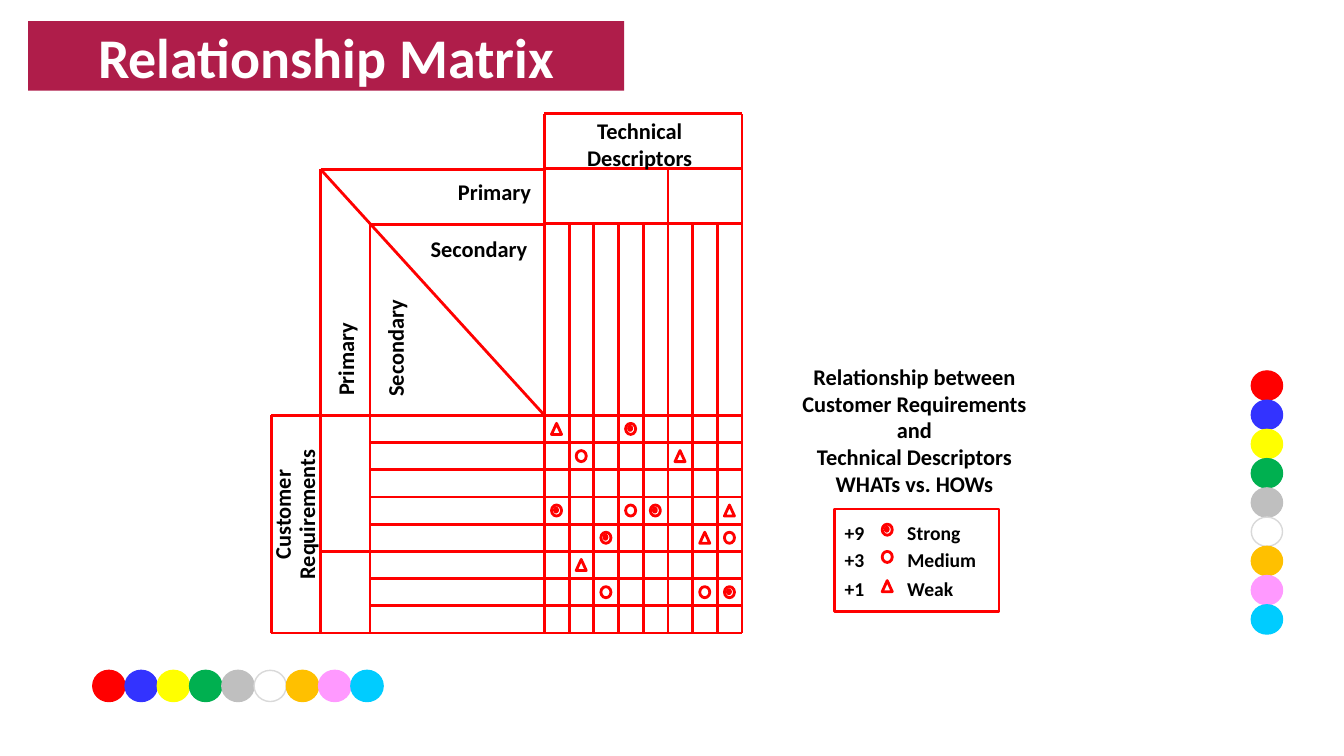
from lxml.etree import SubElement
from pptx import Presentation
from pptx.dml.color import RGBColor
from pptx.enum.shapes import MSO_CONNECTOR, MSO_SHAPE
from pptx.enum.text import MSO_ANCHOR, MSO_AUTO_SIZE, PP_ALIGN
from pptx.oxml.ns import qn
from pptx.util import Inches, Pt

RED = "FF0000"
BLACK = "000000"
DOT_COLORS = [RED, "3333FF", "FFFF00", "00B050", "BFBFBF",
              "FFFFFF", "FFC000", "FF99FF", "00CCFF"]
COLUMNS, ROWS = 8, 8
COLUMN_WIDTH, ROW_HEIGHT = 0.245, 0.27
BAND_WIDTH, BAND_HEIGHT = 0.49, 0.545
# Each mark is a (row, column) cell of the matrix.
MARKS = {
    "strong": [(0, 3), (3, 0), (3, 4), (4, 2), (6, 7)],
    "medium": [(1, 1), (3, 3), (4, 7), (6, 2), (6, 6)],
    "weak": [(0, 0), (1, 5), (3, 7), (4, 6), (5, 1)],
}


def color(value):
    return RGBColor.from_string(value)


def add_line(page, x1, y1, x2, y2):
    line = page.shapes.add_connector(
        MSO_CONNECTOR.STRAIGHT, Inches(x1), Inches(y1), Inches(x2), Inches(y2))
    line.line.color.rgb = color(RED)
    line.line.width = Pt(2)
    SubElement(line._element.spPr, qn("a:effectLst"))


def add_outline(page, kind, left, top, width, height, fill=None, line=RED, weight=2):
    shape = page.shapes.add_shape(
        kind, Inches(left), Inches(top), Inches(width), Inches(height))
    shape.shadow.inherit = False
    if fill:
        shape.fill.solid()
        shape.fill.fore_color.rgb = color(fill)
    else:
        shape.fill.background()
    shape.line.color.rgb = color(line)
    shape.line.width = Pt(weight)
    return shape


def add_text(page, lines, left, top, width, height, size=16, align=PP_ALIGN.CENTER,
             spacing=None, before=0, rotation=0, wrap=False):
    box = page.shapes.add_textbox(
        Inches(left), Inches(top), Inches(width), Inches(height))
    box.rotation = rotation
    frame = box.text_frame
    frame.word_wrap = wrap
    frame.auto_size = MSO_AUTO_SIZE.SHAPE_TO_FIT_TEXT
    for index, text in enumerate(lines):
        para = frame.add_paragraph() if index else frame.paragraphs[0]
        para.alignment = align
        para.line_spacing = spacing
        if index and before:
            para.space_before = Pt(before)
        add_run(para, text, size, BLACK)


def add_run(para, text, size, value):
    span = para.add_run()
    span.text = text
    span.font.name = "Calibri"
    span.font.size = Pt(size)
    span.font.bold = True
    span.font.color.rgb = color(value)


def add_symbol(page, strength, left, top):
    """Strong is a ringed dot, medium a ring, weak a triangle."""
    kind = MSO_SHAPE.ISOSCELES_TRIANGLE if strength == "weak" else MSO_SHAPE.OVAL
    add_outline(page, kind, left, top, 0.1, 0.11)
    if strength == "strong":
        add_outline(page, MSO_SHAPE.OVAL, left + 0.03, top + 0.03, 0.03, 0.04)


def add_dots(page, left, top, step_x, step_y, width, rotation=0):
    for index, fill in enumerate(DOT_COLORS):
        dot = add_outline(
            page, MSO_SHAPE.FLOWCHART_CONNECTOR, left + index * step_x,
            top + index * step_y, width, 0.31, fill,
            "D9D9D9" if fill == "FFFFFF" else fill, 1)
        dot.rotation = rotation


def add_title(page, left, top, width, height):
    bar = add_outline(page, MSO_SHAPE.RECTANGLE, left, top, width, height, "AF1D4A")
    bar.line.fill.background()
    frame = bar.text_frame
    frame.margin_left = frame.margin_right = frame.margin_bottom = 0
    frame.margin_top = Inches(0.01)
    frame.vertical_anchor = MSO_ANCHOR.MIDDLE
    para = frame.paragraphs[0]
    para.alignment = PP_ALIGN.CENTER
    add_run(para, "Relationship Matrix", 40, "FFFFFF")


def add_descriptors(page, left, top, width, height):
    """Technical descriptors: heading, primary band and secondary columns."""
    right, bottom = left + width, top + height
    primary, secondary = top + BAND_HEIGHT, top + 2 * BAND_HEIGHT
    for y in (top, primary, secondary, bottom):
        add_line(page, left, y, right, y)
    for x in (left, right):
        for y1, y2 in ((top, primary), (primary, secondary)):
            add_line(page, x, y1, x, y2)
    split = left + 5 * COLUMN_WIDTH
    add_line(page, split, primary, split, secondary)
    for column in range(COLUMNS + 1):
        x = left + column * COLUMN_WIDTH
        add_line(page, x, secondary, x, bottom)
    add_text(page, ["Technical Descriptors"], left + 0.11, top - 0.02, 1.67, 0.64,
             wrap=True)


def add_requirements(page, left, top, width, height):
    """Customer requirements: heading, primary band and secondary rows."""
    right, bottom = left + width, top + height
    primary, secondary = left + BAND_WIDTH, left + 2 * BAND_WIDTH
    for x in (left, primary, secondary):
        add_line(page, x, top, x, bottom)
    add_line(page, left, top, right, top)
    split = top + 5 * ROW_HEIGHT
    add_line(page, primary, split, secondary, split)
    for row in range(1, ROWS):
        y = top + row * ROW_HEIGHT
        add_line(page, secondary, y, right, y)
    add_line(page, left, bottom, right, bottom)
    add_text(page, ["Customer", "Requirements"], left - 0.64, top + 0.7, 1.78, 0.57,
             spacing=0.85, before=1, rotation=270, wrap=True)


def add_corner(page, left, top, width, height):
    """Corner that names the primary and secondary bands on both sides."""
    right, bottom = left + width, top + height
    inner_left, inner_top = left + BAND_WIDTH, top + BAND_HEIGHT
    for x, y in ((left, top), (inner_left, inner_top)):
        add_line(page, x, bottom, x, y)
        add_line(page, x, y, right, y)
    add_line(page, left, top, right, bottom)
    add_text(page, ["Primary"], left + 1.19, top + 0.04, 1.07, 0.37)
    add_text(page, ["Primary"], left - 0.29, top + 1.7, 1.07, 0.37, rotation=270)
    add_text(page, ["Secondary"], left + 0.07, top + 1.59, 1.34, 0.37, rotation=270)
    add_text(page, ["Secondary"], left + 0.9, top + 0.6, 1.34, 0.37)


def add_relationships(page, left, top, width, height):
    """Matrix cells with their relationship symbols."""
    for column in range(COLUMNS + 1):
        x = left + column * COLUMN_WIDTH
        add_line(page, x, top, x, top + height)
    for row in range(1, ROWS + 1):
        y = top + row * ROW_HEIGHT
        add_line(page, left, y, left + width, y)
    for strength, cells in MARKS.items():
        for row, column in cells:
            add_symbol(page, strength, left + column * COLUMN_WIDTH + 0.07,
                       top + row * ROW_HEIGHT + 0.08)


def add_legend(page, left, top, width, height):
    add_text(page, ["Relationship between", "Customer Requirements and",
                    "Technical Descriptors", "WHATs vs. HOWs"],
             left - 0.52, top - 1.5, 2.62, 1.44, wrap=True)
    add_outline(page, MSO_SHAPE.RECTANGLE, left, top, width, height)
    entries = [("+9", "Strong", 0.84, 0.11), ("+3", "Medium", 0.95, 0.38),
               ("+1", "Weak", 0.74, 0.67)]
    for score, name, name_width, offset in entries:
        y = top + offset
        for text, x, text_width in ((score, left, 0.43), (name, left + 0.62, name_width)):
            add_text(page, [text], x, y, text_width, 0.29, 14, PP_ALIGN.LEFT, 0.8)
        add_symbol(page, name.lower(), left + 0.47, y + 0.04)


def main():
    deck = Presentation()
    deck.slide_width, deck.slide_height = Inches(13.33), Inches(7.5)
    page = deck.slides.add_slide(deck.slide_layouts[6])
    add_dots(page, 12.42, 3.67, 0, 0.29, 0.29, rotation=90)
    add_dots(page, 0.92, 6.65, 0.32, 0, 0.32)
    add_title(page, 0.28, 0.21, 5.91, 0.69)
    add_descriptors(page, 5.4, 1.13, 1.96, 2.99)
    add_requirements(page, 2.69, 4.12, 2.71, 2.16)
    add_corner(page, 3.18, 1.68, 2.22, 2.44)
    add_relationships(page, 5.4, 4.12, 1.96, 2.16)
    add_legend(page, 8.28, 5.05, 1.63, 1.02)
    deck.save("out.pptx")


if __name__ == "__main__":
    main()
